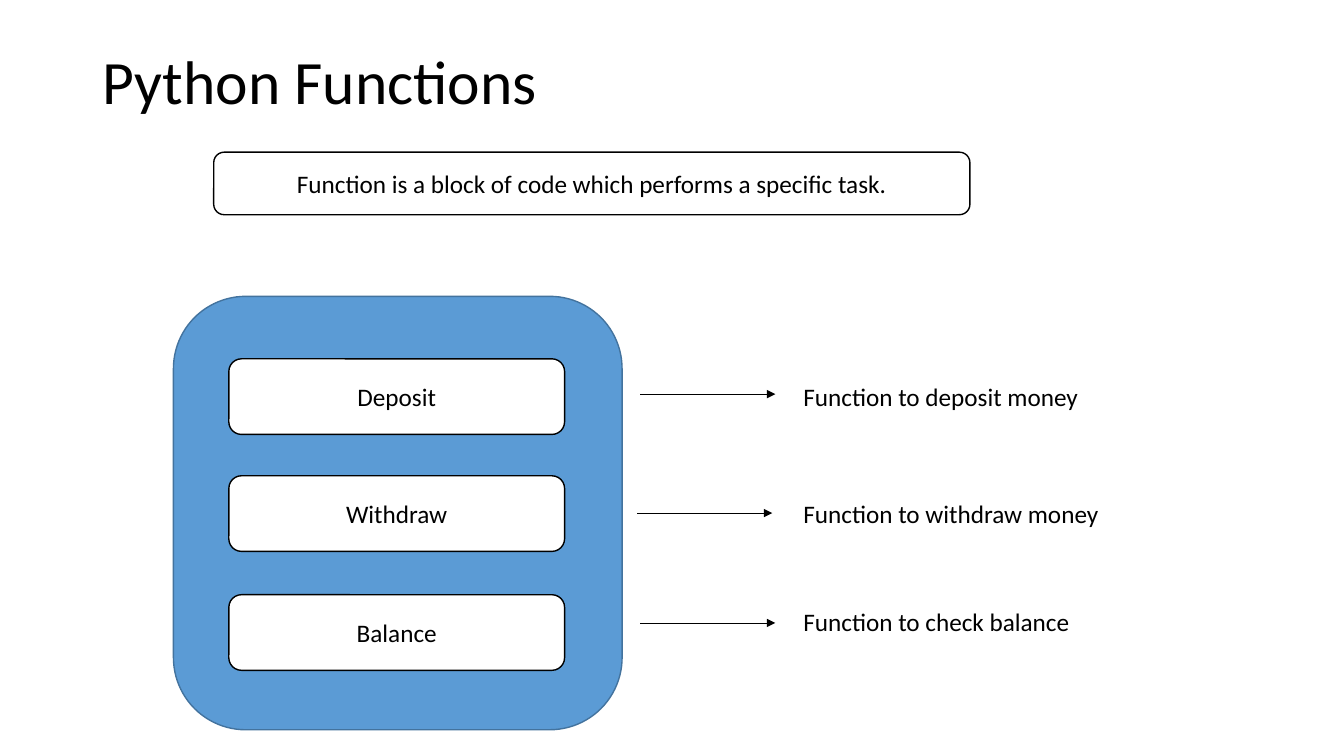
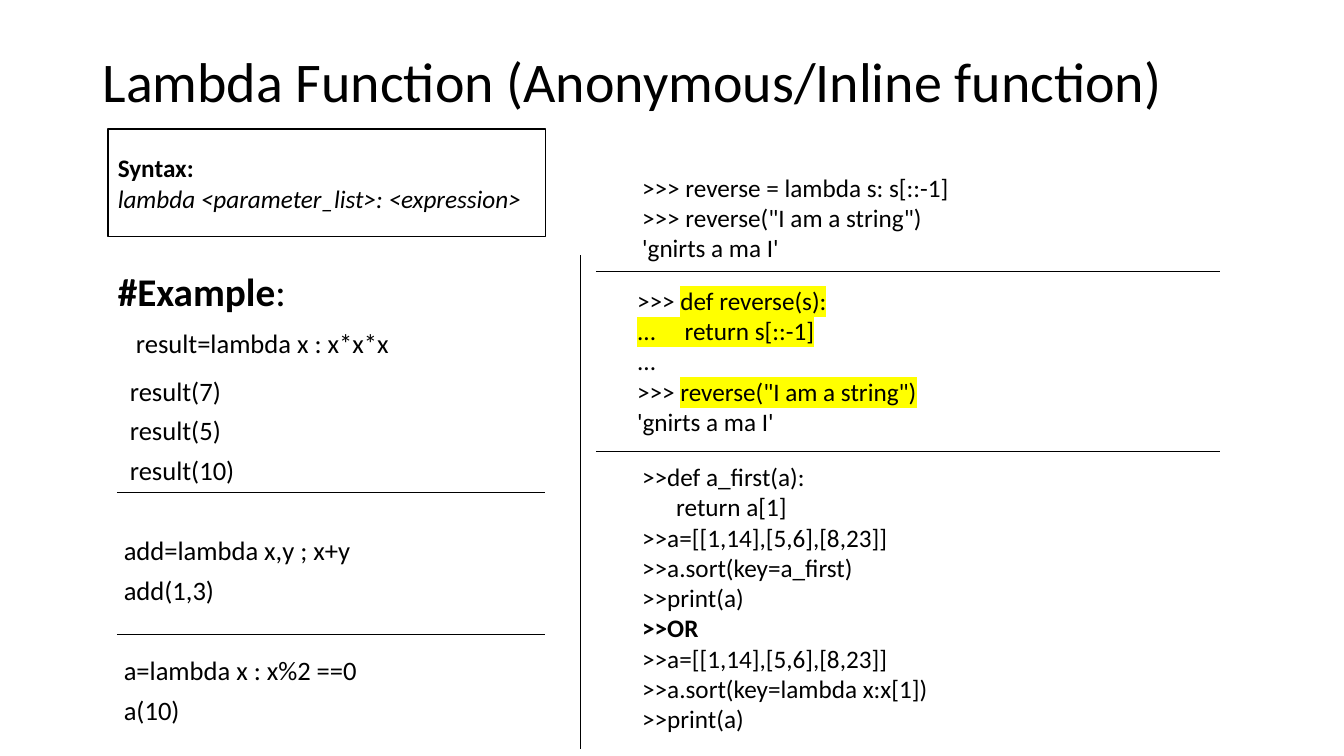
"""Build two slides on Python functions and lambda functions."""
from lxml import etree
from pptx import Presentation
from pptx.dml.color import RGBColor
from pptx.enum.shapes import MSO_CONNECTOR, MSO_SHAPE
from pptx.enum.text import MSO_ANCHOR, PP_ALIGN
from pptx.oxml.ns import qn
from pptx.util import Inches, Pt

RECTANGLE, ROUNDED = MSO_SHAPE.RECTANGLE, MSO_SHAPE.ROUNDED_RECTANGLE
STRAIGHT = MSO_CONNECTOR.STRAIGHT
TOP, MIDDLE = MSO_ANCHOR.TOP, MSO_ANCHOR.MIDDLE
LEFT, CENTER = PP_ALIGN.LEFT, PP_ALIGN.CENTER

BLACK = RGBColor(0x00, 0x00, 0x00)
WHITE = RGBColor(0xFF, 0xFF, 0xFF)
BLUE = RGBColor(0x5B, 0x9B, 0xD5)
DARK_BLUE = RGBColor(0x43, 0x73, 0x9E)
HIGHLIGHT = "FFFF00"
FONT = "Calibri"
BODY_SIZE, EXAMPLE_SIZE, HEADING_SIZE = 18, 19, 28

DEFINITION = "Function is a block of code which performs a specific task."
# name, box top, description, label top, arrow left, arrow height
FUNCTIONS = [
    ("Deposit", 3.56, "Function to deposit money", 3.73, 6.35, 3.91),
    ("Withdraw", 4.72, "Function to withdraw money", 4.89, 6.32, 5.09),
    ("Balance", 5.9, "Function to check balance", 5.97, 6.35, 6.18),
]

SYNTAX = [
    [("Syntax:", "bold")],
    [("lambda <parameter_list>: <expression>", "italic")],
]
HEADING = [[("#Example", "bold"), (":", "")]]
# top, indent, lines
EXAMPLES = [
    (3.26, 0.18, ["result=lambda x : x*x*x"]),
    (3.73, 0.12, ["result(7)", "result(5)", "result(10)"]),
    (5.31, 0.06, ["add=lambda x,y ; x+y", "add(1,3)"]),
    (6.5, 0.06, ["a=lambda x : x%2 ==0", "a(10)"]),
]
# left, top, height, lines
SESSIONS = [
    (6.27, 1.66, 1.01, [
        ">>> reverse = lambda s: s[::-1]",
        '>>> reverse("I am a string")',
        "'gnirts a ma I'",
    ]),
    (6.22, 2.78, 1.62, [
        [(">>> ", ""), ("def reverse(s):", "highlight")],
        [("...     return s[::-1]", "highlight")],
        "...",
        [(">>> ", ""), ('reverse("I am a string")', "highlight")],
        "'gnirts a ma I'",
    ]),
    (6.27, 4.53, 2.83, [
        ">>def a_first(a):",
        "      return a[1]",
        ">>a=[[1,14],[5,6],[8,23]]",
        ">>a.sort(key=a_first)",
        ">>print(a)",
        [(">>OR", "bold")],
        ">>a=[[1,14],[5,6],[8,23]]",
        ">>a.sort(key=lambda x:x[1])",
        ">>print(a)",
    ]),
]
# left, top, right, bottom
RULES = [
    (1.16, 4.88, 5.41, 4.88),
    (1.16, 6.29, 5.41, 6.29),
    (5.76, 2.53, 5.76, 7.43),
    (5.91, 2.69, 12.1, 2.69),
    (5.91, 4.48, 12.1, 4.48),
]


def write(shape, lines, size=BODY_SIZE, align=LEFT, anchor=TOP, spacing=1.0, gap=0, indent=0):
    """Fill a shape with lines, each a string or a list of (text, style)."""
    frame = shape.text_frame
    frame.word_wrap = True
    frame.vertical_anchor = anchor
    for index, line in enumerate(lines):
        para = frame.add_paragraph() if index else frame.paragraphs[0]
        para.alignment = align
        para.line_spacing = spacing
        para.space_before = Pt(gap if index else 0)
        if indent:
            para._p.get_or_add_pPr().set("marL", str(Inches(indent)))
        for text, style in [(line, "")] if isinstance(line, str) else line:
            span = para.add_run()
            span.text = text
            font = span.font
            font.size = Pt(size)
            font.bold = style == "bold"
            font.italic = style == "italic"
            font.color.rgb = BLACK
            if style == "highlight":
                mark = etree.SubElement(span._r.get_or_add_rPr(), qn("a:highlight"))
                etree.SubElement(mark, qn("a:srgbClr"), val=HIGHLIGHT)
            font.name = FONT


def add_text(page, left, top, width, height, lines, **style):
    """Add a text box."""
    box = page.shapes.add_textbox(Inches(left), Inches(top), Inches(width), Inches(height))
    write(box, lines, **style)


def add_box(page, kind, left, top, width, height, lines=(), align=CENTER, fill=WHITE, outline=BLACK):
    """Add a filled, outlined shape with vertically centred text."""
    box = page.shapes.add_shape(kind, Inches(left), Inches(top), Inches(width), Inches(height))
    box.shadow.inherit = False
    box.fill.solid()
    box.fill.fore_color.rgb = fill
    box.line.color.rgb = outline
    box.line.width = Pt(1)
    write(box, lines, align=align, anchor=MIDDLE)


def add_line(page, left, top, right, bottom, arrow=False):
    """Add a thin black line, with an arrowhead at its end if asked."""
    line = page.shapes.add_connector(STRAIGHT, Inches(left), Inches(top), Inches(right), Inches(bottom))
    line.line.color.rgb = BLACK
    line.line.width = Pt(0.5)
    if arrow:
        etree.SubElement(line.line._get_or_add_ln(), qn("a:tailEnd"), type="triangle")
    etree.SubElement(line._element.spPr, qn("a:effectLst"))


def add_page(deck, title, size):
    """Add a blank slide with the shared title style."""
    page = deck.slides.add_slide(deck.slide_layouts[6])
    add_text(page, 0.92, 0.4, 11.5, 0.88, [title], size=size, anchor=MIDDLE, spacing=0.9)
    return page


def build_functions(deck):
    """Build the slide on functions."""
    page = add_page(deck, "Python Functions", 44)
    add_box(page, ROUNDED, 2.12, 1.51, 7.5, 0.62, [DEFINITION])
    add_box(page, ROUNDED, 1.72, 2.94, 4.45, 4.3, fill=BLUE, outline=DARK_BLUE)
    for name, box_top, description, label_top, arrow_left, arrow_top in FUNCTIONS:
        add_box(page, ROUNDED, 2.27, box_top, 3.33, 0.75, [name])
        add_line(page, arrow_left, arrow_top, arrow_left + 1.34, arrow_top, arrow=True)
        add_text(page, 7.87, label_top, 3.2, 0.4, [description])


def build_lambda(deck):
    """Build the slide on lambda functions."""
    page = add_page(deck, "Lambda Function (Anonymous/Inline function)", 40)
    add_box(page, RECTANGLE, 1.07, 1.28, 4.34, 1.07, SYNTAX, align=LEFT)
    add_text(page, 1.07, 2.69, 4.34, 0.5, HEADING, size=HEADING_SIZE, spacing=0.8)
    for top, indent, lines in EXAMPLES:
        add_text(page, 1.07, top, 4.34, 0.4 * len(lines), lines,
                 size=EXAMPLE_SIZE, spacing=0.8, gap=10, indent=indent)
    for left, top, height, lines in SESSIONS:
        add_text(page, left, top, 3.99, height, lines)
    for rule in RULES:
        add_line(page, *rule)


def main():
    """Build and save the deck."""
    deck = Presentation()
    deck.slide_width, deck.slide_height = Inches(13.33), Inches(7.5)
    build_functions(deck)
    build_lambda(deck)
    deck.save("out.pptx")


if __name__ == "__main__":
    main()
